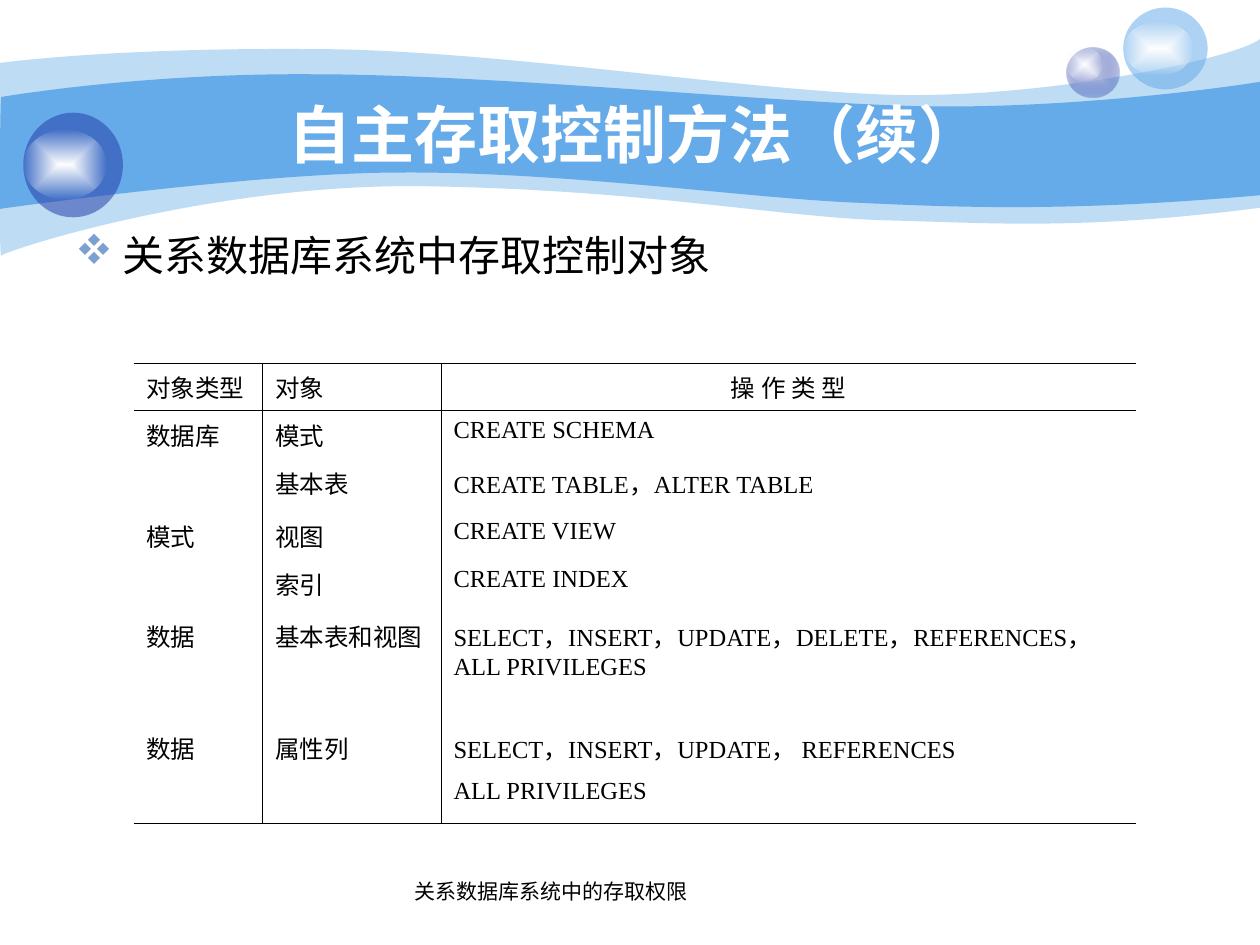
from collections import namedtuple

from lxml.etree import SubElement
from pptx import Presentation
from pptx.dml.color import RGBColor
from pptx.enum.shapes import MSO_SHAPE
from pptx.enum.text import MSO_ANCHOR as Anchor, PP_ALIGN as Align
from pptx.oxml.ns import qn
from pptx.util import Inches, Pt

WHITE = RGBColor(0xFF, 0xFF, 0xFF)
BLACK = RGBColor(0x00, 0x00, 0x00)
SKY = RGBColor(0x65, 0xAA, 0xE9)
NAVY = RGBColor(0x23, 0x3D, 0xA9)
LILAC = RGBColor(0xC7, 0xCE, 0xE9)
BULLET = RGBColor(0x7D, 0xA0, 0xD3)

SANS, SERIF, SYMBOLS = "Arial", "Times New Roman", "Wingdings"
DIAMONDS = "v"  # four diamonds in the symbol font
COLUMNS, ROWS = 100, 75
HANGING = 3.75

Box = namedtuple("Box", "left top width height")

# Each wave: start, upper curves, right-hand corner, lower curves (grid units).
OUTER_WAVE = (
    (0, 2),
    [(2.4, 1.7, 10.7, 0.8, 24.7, 0.9), (38.6, 0.9, 57.5, 4, 69.9, 4.5),
     (82.2, 5, 98, 1.7, 100, 0.1)],
    (100, 13.5),
    [(85.8, 15.3, 78.7, 14.7, 70.5, 14.5), (62.2, 14.3, 51.5, 12.1, 34.3, 11.8),
     (17.2, 11.4, 0.4, 16.9, 0.1, 17.3), (-0.1, 17.8, 0, 4.5, 0, 2)],
)
INNER_WAVE = (
    (0.1, 4.7),
    [(0.2, 4.7, 11, 2.8, 24.8, 2.9), (38.6, 2.9, 59.5, 5, 71.8, 5.4),
     (84.1, 5.8, 97.6, 3.9, 100, 3.5)],
    (100, 12.5),
    [(85.3, 13.8, 76.5, 13.5, 68.2, 13.1), (59.9, 12.8, 44.7, 10.6, 31.7, 10.7),
     (20.3, 10.7, -0.2, 13.6, -0.1, 13.6), (0, 13.6, 0, 4.7, 0.1, 4.7)],
)

COLUMN_WIDTHS = (10.25, 14.15, 55.15)
PRIVILEGES = [
    (3.8, "对象类型", "对象", "操 作 类 型"),
    (3.8, "数据库", "模式", "CREATE SCHEMA"),
    (4.2, "", "基本表", "CREATE TABLE，ALTER TABLE"),
    (3.8, "模式", "视图", "CREATE VIEW"),
    (4.15, "", "索引", "CREATE INDEX"),
    (8.9, "数据", "基本表和视图",
     "SELECT，INSERT，UPDATE，DELETE，REFERENCES，\nALL PRIVILEGES"),
    (3.8, "数据", "属性列", "SELECT，INSERT，UPDATE， REFERENCES"),
    (4.1, "", "", "ALL PRIVILEGES"),
]


def grid(units):
    """Length of a number of grid units; columns and rows are equally wide."""
    return Inches(10 * units / COLUMNS)


def place(box):
    return [grid(value) for value in box]


def set_opacity(color_parent, percent):
    for color in color_parent.iter(qn("a:srgbClr")):
        SubElement(color, qn("a:alpha"), val=str(percent * 1000))


def finish_solid(shape, color, opacity=100):
    shape.shadow.inherit = False
    shape.line.fill.background()
    shape.fill.solid()
    shape.fill.fore_color.rgb = color
    if opacity < 100:
        set_opacity(shape._element.spPr.find(qn("a:solidFill")), opacity)


def finish_glow(shape, center, edge, edge_opacity):
    """Gradient that runs from the centre to the edges."""
    shape.shadow.inherit = False
    shape.line.fill.background()
    shape.fill.gradient()
    for stop, color, position in zip(shape.fill.gradient_stops, (center, edge), (0, 1)):
        stop.color.rgb = color
        stop.position = position
    gradient = shape._element.spPr.find(qn("a:gradFill"))
    set_opacity(gradient.findall(".//" + qn("a:gs"))[-1], edge_opacity)
    gradient.remove(gradient.find(qn("a:lin")))
    rect = SubElement(gradient, qn("a:path"), path="rect")
    SubElement(rect, qn("a:fillToRect"), {side: "50000" for side in "ltrb"})


def write(frame, text, *, size, font=SANS, color=BLACK, bold=False,
          align=Align.LEFT, anchor=Anchor.TOP, wrap=True, hanging=0, bullet=None):
    frame.word_wrap = wrap
    frame.vertical_anchor = anchor
    frame.text = text
    for paragraph in frame.paragraphs:
        paragraph.alignment = align
        props = paragraph._p.get_or_add_pPr()
        if hanging:
            props.set("marL", str(grid(hanging)))
            props.set("indent", str(-grid(hanging)))
        if bullet:
            bullet_color = SubElement(props, qn("a:buClr"))
            SubElement(bullet_color, qn("a:srgbClr"), val=str(BULLET))
            SubElement(props, qn("a:buFont"), typeface=SYMBOLS, charset="2")
            SubElement(props, qn("a:buChar"), char=bullet)
        face = paragraph.font
        face.size, face.name, face.bold = Pt(size), font, bold
        face.color.rgb = color


def add_text(slide, box, text, **format):
    write(slide.shapes.add_textbox(*place(box)).text_frame, text, **format)


def bend(first_line):
    """Join a line segment and the two after it into one cubic curve."""
    outline = first_line.getparent()
    start = outline.index(first_line)
    lines = outline[start:start + 3]
    curve = SubElement(outline, qn("a:cubicBezTo"))
    for line in lines:
        curve.append(line[0])
        outline.remove(line)
    outline.insert(start, curve)


def add_wave(slide, box, wave, opacity):
    start, upper, corner, lower = wave

    def controls(curves):
        return [pair for curve in curves for pair in zip(curve[::2], curve[1::2])]

    corner_index = 3 * len(upper)
    outline = [start, *controls(upper), corner, *controls(lower)]
    points = [(grid(box.left + x), grid(box.top + y)) for x, y in outline]
    builder = slide.shapes.build_freeform(*points[0])
    builder.add_line_segments(points[1:], close=True)
    shape = builder.convert_to_shape()
    lines = list(shape._element.spPr.iter(qn("a:lnTo")))
    for first_line in lines[:corner_index:3] + lines[corner_index + 1:len(points) - 1:3]:
        bend(first_line)
    finish_solid(shape, SKY, opacity)


def add_ball(slide, box, shine, color, opacity, center=None):
    """Ball with a highlight; shine is (top, width, height) as shares of the box."""
    ball = slide.shapes.add_shape(MSO_SHAPE.OVAL, *place(box))
    if center is None:
        finish_solid(ball, color, opacity)
    else:
        finish_glow(ball, center, color, opacity)
    top, width, height = shine
    spot = Box(box.left, box.top + top * box.height, width * box.width, height * box.height)
    finish_glow(slide.shapes.add_shape(MSO_SHAPE.OVAL, *place(spot)), WHITE, WHITE, 0)


def add_banner(slide, box):
    add_wave(slide, box, OUTER_WAVE, 41)
    add_wave(slide, box, INNER_WAVE, 100)
    add_ball(slide, Box(84.65, 3.75, 4.2, 4), (0, 0.67, 0.67), NAVY, 31, center=LILAC)
    add_ball(slide, Box(89.15, 0.6, 6.7, 6.5), (0.17, 0.83, 0.66), SKY, 53)
    add_ball(slide, Box(1.85, 8.95, 7.9, 8.3), (0.16, 0.83, 0.67), NAVY, 53)
    add_text(slide, Box(10, box.top + 4.5, 80.8, 6.2), "自主存取控制方法（续）", size=36,
             color=WHITE, bold=True, align=Align.CENTER, anchor=Anchor.MIDDLE)


def set_borders(cell, drawn):
    props = cell._tc.get_or_add_tcPr()
    for side in "LRTB":
        line = SubElement(props, qn("a:ln" + side), w=str(Pt(0.45)))
        if side in drawn:
            fill = SubElement(line, qn("a:solidFill"))
            SubElement(fill, qn("a:srgbClr"), val=str(BLACK))
        else:
            SubElement(line, qn("a:noFill"))


def add_privilege_table(slide, box):
    last_row, last_column = len(PRIVILEGES) - 1, len(COLUMN_WIDTHS) - 1
    table = slide.shapes.add_table(last_row + 1, last_column + 1, *place(box)).table
    table.first_row = table.horz_banding = False
    for column, width in zip(table.columns, COLUMN_WIDTHS):
        column.width = grid(width)
    for r, (height, *texts) in enumerate(PRIVILEGES):
        table.rows[r].height = grid(height)
        for c, text in enumerate(texts):
            cell = table.cell(r, c)
            centered = r == 0 and c == last_column
            write(cell.text_frame, text, size=14, font=SERIF, hanging=HANGING,
                  align=Align.CENTER if centered else Align.LEFT)
            set_borders(cell, ("L" if c > 0 else "") + ("R" if c < last_column else "")
                        + ("T" if r <= 1 else "") + ("B" if r in (0, last_row) else ""))
            cell.fill.background()


def main():
    deck = Presentation()
    deck.slide_width, deck.slide_height = grid(COLUMNS), grid(ROWS)
    slide = deck.slides.add_slide(deck.slide_layouts[6])
    add_banner(slide, Box(0, 3, COLUMNS, 17.8))
    add_text(slide, Box(5, 17.75, 89.9, 21.4), "关系数据库系统中存取控制对象",
             size=24, hanging=HANGING, bullet=DIAMONDS)
    table_height = sum(height for height, *_ in PRIVILEGES)
    add_privilege_table(slide, Box(10.6, 28.8, sum(COLUMN_WIDTHS), table_height))
    add_text(slide, Box(31.9, 68.2, 24.2, 4), "关系数据库系统中的存取权限", size=12,
             font=SERIF, anchor=Anchor.BOTTOM, wrap=False)
    deck.save("out.pptx")


if __name__ == "__main__":
    main()
